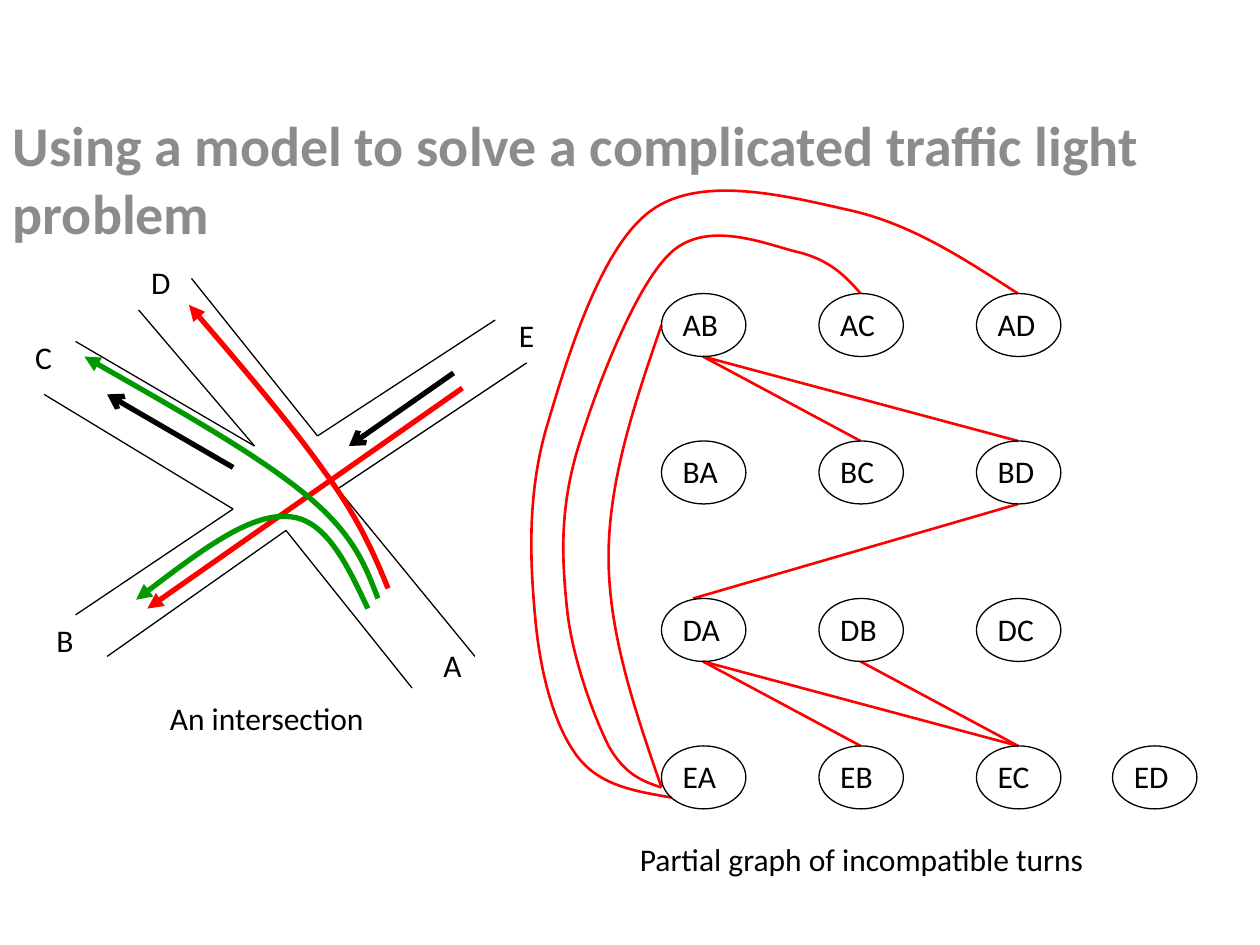
import pptx
import pptx.util
import pptx.dml.color
import pptx.enum.shapes
import pptx.enum.text
import pptx.oxml
import pptx.oxml.ns
import lxml.etree

Inches = pptx.util.Inches
qn = pptx.oxml.ns.qn
BLACK, RED, GREEN, GREY = "000000", "FF0000", "009900", "8C8C8C"

deck = pptx.Presentation()
deck.slide_width, deck.slide_height = Inches(10), Inches(7.5)
slide = deck.slides.add_slide(deck.slide_layouts[5])
shapes = slide.shapes


def style_line(shape, color, width, arrow=None):
    shape.line.color.rgb = pptx.dml.color.RGBColor.from_string(color)
    shape.line.width = pptx.util.Pt(width)
    if arrow:
        lxml.etree.SubElement(shape.line._get_or_add_ln(), qn("a:tailEnd"), type=arrow)
    if shape._element.spPr.find(qn("a:effectLst")) is None:
        lxml.etree.SubElement(shape._element.spPr, qn("a:effectLst"))


def write(shape, text, size=18, color=BLACK, bold=False, wrap=False):
    frame = shape.text_frame
    frame.word_wrap = wrap
    frame.auto_size = pptx.enum.text.MSO_AUTO_SIZE.NONE
    frame.vertical_anchor = pptx.enum.text.MSO_ANCHOR.TOP
    frame.text = text
    paragraph = frame.paragraphs[0]
    paragraph.alignment = pptx.enum.text.PP_ALIGN.LEFT
    font = paragraph.runs[0].font
    font.name, font.size, font.bold = "Calibri", pptx.util.Pt(size), bold
    font.color.rgb = pptx.dml.color.RGBColor.from_string(color)


# Title
title = shapes.title
title.left, title.top, title.width, title.height = Inches(0), Inches(0.83), Inches(10), Inches(1.17)
write(title, "Using a model to solve a complicated traffic light problem",
      size=32, color=GREY, bold=True, wrap=True)

# Straight lines: road edges, traffic arrows, incompatible turns
road_edges = [
    [(1.1, 2.46), (2.02, 3.54), (0.6, 2.71)],
    [(0.35, 3.13), (1.85, 4.04), (0.6, 4.88)],
    [(0.85, 5.21), (2.27, 4.21), (3.27, 5.46)],
    [(1.52, 2.21), (2.52, 3.46), (3.93, 2.54)],
    [(4.18, 2.88), (2.68, 3.88), (3.77, 5.21)],
]
straight_lines = [(start, end, BLACK, 0.75, None)
                  for edge in road_edges for start, end in zip(edge, edge[1:])]
straight_lines += [
    ((1.85, 3.71), (0.85, 3.13), BLACK, 3, "arrow"),
    ((3.6, 2.96), (2.77, 3.54), BLACK, 3, "arrow"),
    ((3.67, 3.08), (1.17, 4.83), RED, 3, "triangle"),
]
conflicts = [
    ((5.58, 2.83), (8.08, 3.5)), ((5.58, 2.83), (6.83, 3.5)),
    ((8.08, 4), (5.5, 4.75)), ((6.83, 5.25), (8.08, 5.92)),
    ((5.58, 5.25), (8.08, 5.92)), ((5.58, 5.25), (6.83, 5.92)),
]
straight_lines += [(start, end, RED, 1.5, None) for start, end in conflicts]
for start, end, color, width, arrow in straight_lines:
    line = shapes.add_connector(pptx.enum.shapes.MSO_CONNECTOR.STRAIGHT,
                                *[Inches(value) for value in start + end])
    style_line(line, color, width, arrow)

# Curves: a start point, then three Bezier points for each segment
curves = [
    (GREEN, 3, "triangle", [
        (2.92, 4.83), (2.75, 4.47), (2.58, 4.11), (2.28, 4.1),
        (1.97, 4.08), (1.53, 4.42), (1.08, 4.76)]),
    (GREEN, 3, "triangle", [
        (3, 4.75), (2.9, 4.49), (2.81, 4.24), (2.42, 3.92),
        (2.03, 3.6), (1.35, 3.22), (0.67, 2.83)]),
    (RED, 3, "triangle", [
        (3.08, 4.67), (2.97, 4.4), (2.85, 4.12), (2.58, 3.75),
        (2.32, 3.38), (1.91, 2.9), (1.5, 2.42)]),
    (RED, 1.5, None, [
        (8.08, 2.33), (7.66, 2.06), (7.24, 1.78), (6.75, 1.67),
        (6.26, 1.56), (5.57, 1.38), (5.17, 1.67),
        (4.76, 1.96), (4.49, 2.88), (4.33, 3.42),
        (4.18, 3.96), (4.21, 4.49), (4.25, 4.92),
        (4.29, 5.35), (4.4, 5.76), (4.58, 6),
        (4.76, 6.24), (5.05, 6.28), (5.33, 6.33)]),
    (RED, 1.5, None, [
        (5.25, 2.58), (5.04, 3.19), (4.83, 3.81), (4.83, 4.42),
        (4.83, 5.03), (5.04, 5.64), (5.25, 6.25)]),
    (RED, 1.5, None, [
        (6.83, 2.33), (6.71, 2.19), (6.58, 2.06), (6.33, 2),
        (6.08, 1.94), (5.62, 1.74), (5.33, 2),
        (5.04, 2.26), (4.72, 3.11), (4.58, 3.58),
        (4.44, 4.06), (4.46, 4.44), (4.5, 4.83),
        (4.54, 5.22), (4.71, 5.68), (4.83, 5.92),
        (4.96, 6.15), (5.1, 6.2), (5.25, 6.25)]),
]
for color, width, arrow, points in curves:
    builder = shapes.build_freeform(*points[0], scale=Inches(1))
    # Work in hundredths of an inch so that the local coordinates are whole numbers
    hundredths = [(round(x * 100), round(y * 100)) for x, y in points]
    builder = shapes.build_freeform(*hundredths[0], scale=Inches(0.01))
    builder.add_line_segments(hundredths[1:], close=False)
    curve = builder.convert_to_shape()
    curve.shadow.inherit = False
    curve.fill.background()
    style_line(curve, color, width, arrow)
    outline = curve._element.find(".//" + qn("a:path"))
    corners = outline.findall(qn("a:lnTo"))
    for first in range(0, len(corners), 3):
        segment = lxml.etree.SubElement(outline, qn("a:cubicBezTo"))
        for corner in corners[first:first + 3]:
            segment.append(corner[0])
            outline.remove(corner)

# Graph nodes
labels = []
node_rows = [(2.33, "AB AC AD"), (3.5, "BA BC BD"), (4.75, "DA DB DC"), (5.92, "EA EB EC ED")]
for top, turns in node_rows:
    for left, turn in zip([5.25, 6.5, 7.75, 8.83], turns.split()):
        node = shapes.add_shape(pptx.enum.shapes.MSO_SHAPE.OVAL,
                                Inches(left), Inches(top), Inches(0.67), Inches(0.5))
        node.shadow.inherit = False
        node.fill.background()
        style_line(node, BLACK, 0.75)
        labels.append((turn, left + 0.07, top + 0.04, 0.55))

# Road names, node names and captions
labels += [
    ("A", 3.42, 5.08, 0.37), ("B", 0.35, 4.88, 0.37), ("C", 0.18, 2.63, 0.38),
    ("D", 1.1, 2.04, 0.38), ("E", 4.02, 2.46, 0.37),
    ("An intersection", 1.25, 5.5, 1.85),
    ("Partial graph of incompatible turns", 4.98, 6.62, 3.99),
]
for text, left, top, width in labels:
    write(shapes.add_textbox(Inches(left), Inches(top), Inches(width), Inches(0.4)), text)

deck.save("out.pptx")
